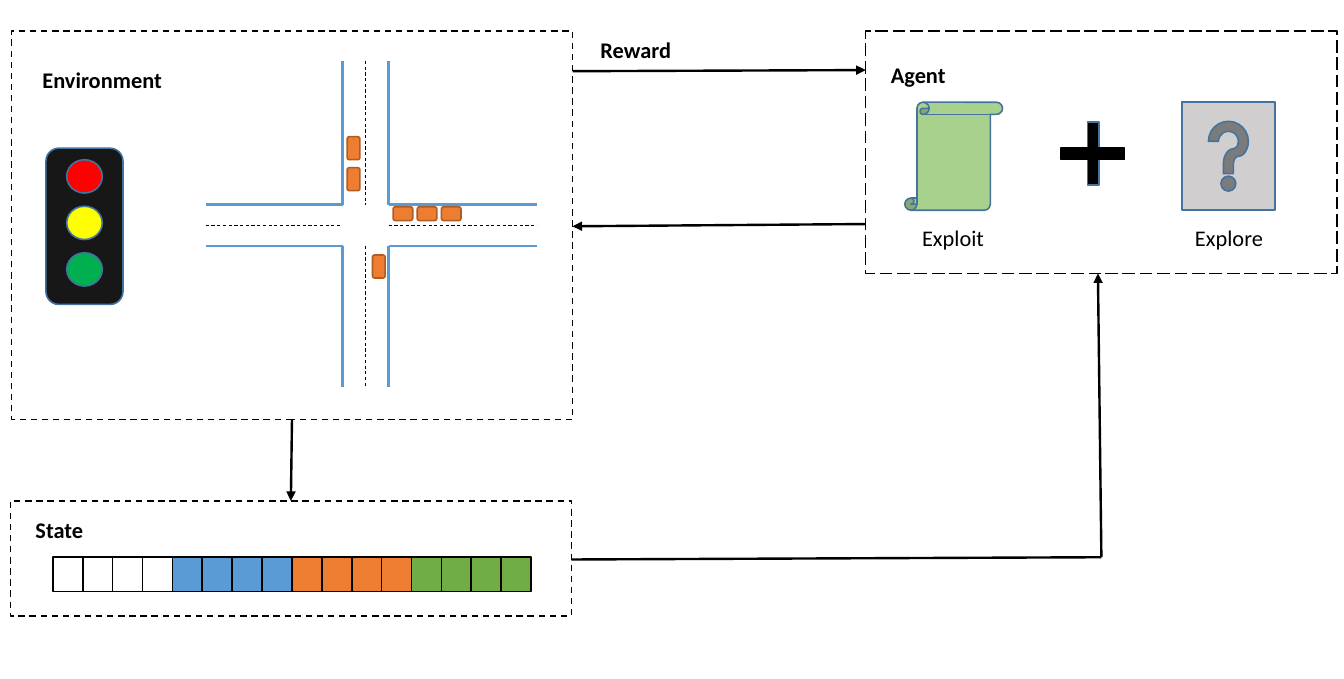
import dataclasses

import lxml.etree
import pptx
import pptx.dml.color
import pptx.enum.dml
import pptx.enum.shapes
import pptx.enum.text
import pptx.oxml.ns
import pptx.util

Inches = pptx.util.Inches
SHAPE = pptx.enum.shapes.MSO_SHAPE
DASH = pptx.enum.dml.MSO_LINE
ALIGN = pptx.enum.text.PP_ALIGN


@dataclasses.dataclass(frozen=True)
class Theme:
    font: str = "Calibri"
    text_size: float = 14
    outline_width: float = 1
    road_width: float = 1.5
    lane_width: float = 0.5
    arrow_width: float = 1.5
    black: str = "000000"
    white: str = "FFFFFF"
    blue: str = "5B9BD5"
    orange: str = "ED7D31"
    green: str = "70AD47"
    outline: str = "43739E"
    car_outline: str = "AF5C24"
    signal_case: str = "181717"
    signal_red: str = "FF0000"
    signal_yellow: str = "FFFF00"
    signal_green: str = "00B050"
    scroll: str = "A9D18E"
    help_button: str = "D0CECE"


THEME = Theme()


@dataclasses.dataclass(frozen=True)
class Box:
    left: float
    top: float
    width: float
    height: float

    def inside(self, left, top, width, height):
        return Box(self.left + left, self.top + top, width, height)

    def lengths(self):
        return [Inches(length) for length in dataclasses.astuple(self)]


def rgb(color):
    return pptx.dml.color.RGBColor.from_string(color)


def add_figure(slide, kind, box, fill, outline, dash=None):
    shape = slide.shapes.add_shape(kind, *box.lengths())
    shape.shadow.inherit = False
    shape.fill.solid()
    shape.fill.fore_color.rgb = rgb(fill)
    shape.line.color.rgb = rgb(outline)
    shape.line.width = pptx.util.Pt(THEME.outline_width)
    if dash is not None:
        shape.line.dash_style = dash
    return shape


def add_label(slide, box, text, bold=False, alignment=ALIGN.LEFT):
    frame = slide.shapes.add_textbox(*box.lengths()).text_frame
    frame.word_wrap = True
    frame.auto_size = pptx.enum.text.MSO_AUTO_SIZE.SHAPE_TO_FIT_TEXT
    paragraph = frame.paragraphs[0]
    paragraph.text = text
    paragraph.alignment = alignment
    paragraph.font.name = THEME.font
    paragraph.font.size = pptx.util.Pt(THEME.text_size)
    paragraph.font.bold = bold
    paragraph.font.color.rgb = rgb(THEME.black)


def add_line(slide, start, end, color, width, dash=None, arrow=False):
    connector = slide.shapes.add_connector(
        pptx.enum.shapes.MSO_CONNECTOR.STRAIGHT,
        *[Inches(length) for length in (*start, *end)])
    connector.line.color.rgb = rgb(color)
    connector.line.width = pptx.util.Pt(width)
    if dash is not None:
        connector.line.dash_style = dash
    properties = connector.element.spPr
    qn = pptx.oxml.ns.qn
    if arrow:
        outline = properties.find(qn("a:ln"))
        lxml.etree.SubElement(outline, qn("a:tailEnd"), type="triangle")
    lxml.etree.SubElement(properties, qn("a:effectLst"))


def add_crossing(slide, box):
    center_x, center_y = box.left + 1.39, box.top + 1.43
    half_x, half_y = 0.2, 0.18
    right, bottom = box.left + box.width, box.top + box.height
    edge = (THEME.blue, THEME.road_width, None)
    lane = (THEME.black, THEME.lane_width, DASH.DASH)
    for side, style in ((-1, edge), (0, lane), (1, edge)):
        x = center_x + side * half_x
        y = center_y + side * half_y
        add_line(slide, (x, box.top), (x, center_y - half_y), *style)
        add_line(slide, (x, center_y + half_y), (x, bottom), *style)
        add_line(slide, (box.left, y), (center_x - half_x, y), *style)
        add_line(slide, (center_x + half_x, y), (right, y), *style)

    upright_cars = [(1.23, 0.93), (1.23, 0.66), (1.45, 1.69)]
    cars = [box.inside(x, y, 0.11, 0.2) for x, y in upright_cars]
    cars += [box.inside(1.63 + 0.21 * i, 1.27, 0.17, 0.12) for i in range(3)]
    for car in cars:
        add_figure(slide, SHAPE.ROUNDED_RECTANGLE, car, THEME.orange, THEME.car_outline)


def add_traffic_light(slide, box):
    add_figure(slide, SHAPE.ROUNDED_RECTANGLE, box, THEME.signal_case, THEME.outline)
    lamps = (THEME.signal_red, THEME.signal_yellow, THEME.signal_green)
    for index, color in enumerate(lamps):
        lamp = box.inside(0.18, 0.1 + 0.405 * index, 0.31, 0.29)
        add_figure(slide, SHAPE.OVAL, lamp, color, THEME.outline)


def add_environment(slide, box):
    add_figure(slide, SHAPE.RECTANGLE, box, THEME.white, THEME.black, DASH.DASH)
    add_crossing(slide, box.inside(1.69, 0.26, 2.88, 2.84))
    add_traffic_light(slide, box.inside(0.3, 1.02, 0.67, 1.36))
    add_label(slide, box.inside(0.17, 0.26, 1.35, 0.34), "Environment", bold=True)


def add_state(slide, box):
    add_figure(slide, SHAPE.RECTANGLE, box, THEME.white, THEME.black, DASH.DASH)
    add_label(slide, box.inside(0.12, 0.08, 1.28, 0.34), "State", bold=True)
    groups = (THEME.white, THEME.blue, THEME.orange, THEME.green)
    cell_width, cells_per_group = 0.26, 4
    for index in range(len(groups) * cells_per_group):
        cell = box.inside(0.37 + cell_width * index, 0.49, cell_width, 0.3)
        add_figure(slide, SHAPE.RECTANGLE, cell, groups[index // cells_per_group], THEME.black)


def add_agent(slide, box):
    add_figure(slide, SHAPE.RECTANGLE, box, THEME.white, THEME.black, DASH.LONG_DASH)
    add_label(slide, box.inside(0.12, 0.21, 1.28, 0.34), "Agent", bold=True)
    add_figure(slide, SHAPE.VERTICAL_SCROLL, box.inside(0.34, 0.62, 0.85, 0.94),
               THEME.scroll, THEME.outline)
    add_figure(slide, SHAPE.RECTANGLE, box.inside(1.93, 0.79, 0.1, 0.55),
               THEME.black, THEME.outline)
    add_figure(slide, SHAPE.RECTANGLE, box.inside(1.7, 1.02, 0.55, 0.1),
               THEME.black, THEME.black)
    add_figure(slide, SHAPE.ACTION_BUTTON_HELP, box.inside(2.75, 0.62, 0.81, 0.94),
               THEME.help_button, THEME.outline)
    for left, text in ((0.12, "Exploit"), (2.52, "Explore")):
        add_label(slide, box.inside(left, 1.63, 1.28, 0.34), text, alignment=ALIGN.CENTER)


def add_flow(slide, environment, state, agent):
    environment_right = environment.left + environment.width
    environment_bottom = environment.top + environment.height
    state_right = state.left + state.width
    agent_bottom = agent.top + agent.height
    corner = (agent.left + 2.05, state.top + 0.49)
    flows = [
        ((environment.left + 2.44, environment_bottom), (state.left + 2.44, state.top), True),
        ((state_right, state.top + 0.51), corner, False),
        (corner, (agent.left + 2.02, agent_bottom), True),
        ((environment_right, environment.top + 0.35), (agent.left, agent.top + 0.34), True),
        ((agent.left, agent.top + 1.68), (environment_right, environment.top + 1.7), True),
    ]
    for start, end, arrow in flows:
        add_line(slide, start, end, THEME.black, THEME.arrow_width, arrow=arrow)
    add_label(slide, Box(environment_right - 0.09, environment.top, 1.28, 0.34),
              "Reward", bold=True, alignment=ALIGN.CENTER)


def main():
    presentation = pptx.Presentation()
    presentation.slide_width = Inches(11.69)
    presentation.slide_height = Inches(5.91)
    slide = presentation.slides.add_slide(presentation.slide_layouts[6])
    environment = Box(0.1, 0.27, 4.88, 3.38)
    state = Box(0.09, 4.36, 4.88, 1)
    agent = Box(7.53, 0.27, 4.1, 2.11)
    add_environment(slide, environment)
    add_state(slide, state)
    add_agent(slide, agent)
    add_flow(slide, environment, state, agent)
    presentation.save("out.pptx")


if __name__ == "__main__":
    main()
